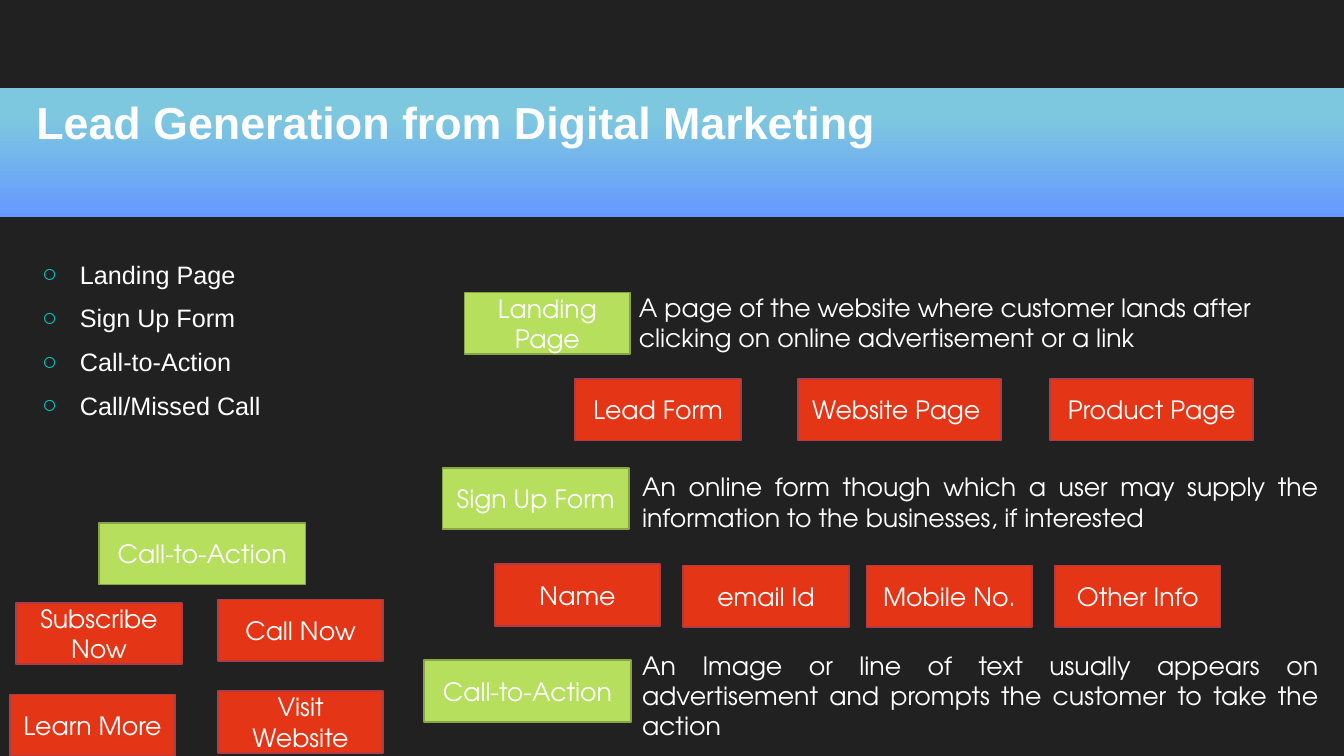
from lxml.etree import SubElement
from pptx import Presentation
from pptx.dml.color import RGBColor
from pptx.enum.shapes import MSO_SHAPE
from pptx.enum.text import MSO_ANCHOR, MSO_AUTO_SIZE, PP_ALIGN
from pptx.oxml import parse_xml
from pptx.oxml.ns import nsdecls, qn
from pptx.util import Cm, Pt

BACKGROUND = RGBColor(0x21, 0x21, 0x21)
BAND_TOP = RGBColor(0x7D, 0xC8, 0xDF)
BAND_BOTTOM = RGBColor(0x66, 0x99, 0xFF)
WHITE = RGBColor(0xFF, 0xFF, 0xFF)
TITLE_WHITE = RGBColor(0xFE, 0xFE, 0xFE)
TEAL = RGBColor(0x00, 0xC6, 0xBB)
GREEN = RGBColor(0xB6, 0xDF, 0x5E)
GREEN_EDGE = RGBColor(0x87, 0xA5, 0x46)
RED = RGBColor(0xE4, 0x36, 0x17)
RED_EDGE = RGBColor(0xAF, 0x3C, 0x44)

HEADING_FONT = "Arial"
LABEL_FONT = "TeX Gyre Adventor"
SLIDE_WIDTH, SLIDE_HEIGHT = 33.87, 19.05
LABEL_HEIGHT = 1.55
EXAMPLE_WIDTH = 4.17
PAGE_WIDTH = 5.11
DESCRIPTION_WIDTH = 17.55

TITLE = "Lead Generation from Digital Marketing"
TOPICS = ["Landing Page", "Sign Up Form", "Call-to-Action", "Call/Missed Call"]

TERMS = [
    ("Landing Page", 11.71, 7.37, EXAMPLE_WIDTH),
    ("Sign Up Form", 11.15, 11.79, 4.7),
    ("Call-to-Action", 10.69, 16.64, 5.21),
    ("Call-to-Action", 2.49, 13.18, 5.21),
]
EXAMPLES = [
    ("Lead Form", 14.5, 9.55, EXAMPLE_WIDTH),
    ("Website Page ", 20.12, 9.55, PAGE_WIDTH),
    ("Product Page", 26.47, 9.55, PAGE_WIDTH),
    ("Name", 12.47, 14.22, EXAMPLE_WIDTH),
    ("email Id", 17.22, 14.25, EXAMPLE_WIDTH),
    ("Mobile No.", 21.84, 14.25, EXAMPLE_WIDTH),
    ("Other Info", 26.59, 14.25, EXAMPLE_WIDTH),
    ("Subscribe Now", 0.41, 15.19, EXAMPLE_WIDTH),
    ("Call Now", 5.49, 15.11, EXAMPLE_WIDTH),
    ("Learn More", 0.25, 17.5, EXAMPLE_WIDTH),
    ("Visit Website", 5.49, 17.42, EXAMPLE_WIDTH),
]
DESCRIPTIONS = [
    ("A page of the website where customer lands after clicking on online "
     "advertisement or a link", 15.85, 7.24, 1.8, PP_ALIGN.LEFT),
    ("An online form though which a user may supply the information to the "
     "businesses, if interested", 15.93, 11.76, 1.8, PP_ALIGN.JUSTIFY),
    ("An Image or line of text usually appears on advertisement and prompts "
     "the customer to take the action", 15.93, 16.26, 2.57, PP_ALIGN.JUSTIFY),
]


def place(placeholder, left, top, width, height):
    placeholder.left, placeholder.top = Cm(left), Cm(top)
    placeholder.width, placeholder.height = Cm(width), Cm(height)


def format_text(frame, font_name, size, color, align, bold=False):
    frame.word_wrap = True
    for paragraph in frame.paragraphs:
        paragraph.alignment = align
        for run in paragraph.runs:
            run.font.name = font_name
            run.font.size = Pt(size)
            run.font.bold = bold
            run.font.color.rgb = color


def add_text_shadow(frame):
    for paragraph in frame.paragraphs:
        for run in paragraph.runs:
            run.font.fill._xPr.find(qn("a:solidFill")).addnext(parse_xml(
                f'<a:effectLst {nsdecls("a")}>'
                '<a:outerShdw blurRad="38100" dist="38100" dir="2700000">'
                '<a:srgbClr val="000000"><a:alpha val="60000"/></a:srgbClr>'
                '</a:outerShdw></a:effectLst>'))


def add_bullet(paragraph):
    properties = paragraph._p.get_or_add_pPr()
    properties.set("marL", str(Cm(0.95)))
    properties.set("indent", str(-Cm(0.95)))
    bullet_color = SubElement(properties, qn("a:buClr"))
    SubElement(bullet_color, qn("a:srgbClr")).set("val", str(TEAL))
    SubElement(properties, qn("a:buFont")).set("typeface", HEADING_FONT)
    SubElement(properties, qn("a:buChar")).set("char", "○")


def add_label(slide, text, left, top, width, fill, edge):
    label = slide.shapes.add_shape(
        MSO_SHAPE.RECTANGLE, Cm(left), Cm(top), Cm(width), Cm(LABEL_HEIGHT))
    label.shadow.inherit = False
    label.fill.solid()
    label.fill.fore_color.rgb = fill
    label.line.color.rgb = edge
    label.line.width = Pt(1.25)
    label.text_frame.text = text
    label.text_frame.vertical_anchor = MSO_ANCHOR.MIDDLE
    format_text(label.text_frame, LABEL_FONT, 18, WHITE, PP_ALIGN.CENTER)


def add_band(slide):
    band = slide.shapes.add_shape(
        MSO_SHAPE.RECTANGLE, 0, Cm(2.23), Cm(SLIDE_WIDTH), Cm(3.25))
    band.shadow.inherit = False
    band.line.fill.background()
    band.fill.gradient()
    band.fill.gradient_angle = 270
    for stop, position, color in zip(
            band.fill.gradient_stops, (0.21, 1), (BAND_TOP, BAND_BOTTOM)):
        stop.position = position
        stop.color.rgb = color
    slide.shapes.title.element.addprevious(band.element)


def main():
    deck = Presentation()
    deck.slide_width, deck.slide_height = Cm(SLIDE_WIDTH), Cm(SLIDE_HEIGHT)
    slide = deck.slides.add_slide(deck.slide_layouts[1])
    slide.background.fill.solid()
    slide.background.fill.fore_color.rgb = BACKGROUND
    add_band(slide)

    title = slide.shapes.title
    place(title, 0.66, 2.31, 23.65, 1.57)
    title.text_frame.text = TITLE
    title.text_frame.vertical_anchor = MSO_ANCHOR.BOTTOM
    title.text_frame.auto_size = MSO_AUTO_SIZE.NONE
    format_text(title.text_frame, HEADING_FONT, 32, TITLE_WHITE, PP_ALIGN.LEFT, bold=True)
    add_text_shadow(title.text_frame)

    topics = slide.placeholders[1]
    place(topics, 0.81, 5.36, 8.26, 6.4)
    topics.text_frame.text = "\n".join(TOPICS)
    topics.text_frame.vertical_anchor = MSO_ANCHOR.MIDDLE
    topics.text_frame.auto_size = MSO_AUTO_SIZE.NONE
    format_text(topics.text_frame, HEADING_FONT, 18, WHITE, PP_ALIGN.LEFT)
    add_text_shadow(topics.text_frame)
    for paragraph in topics.text_frame.paragraphs:
        paragraph.space_after = Pt(6)
        add_bullet(paragraph)

    for term in TERMS:
        add_label(slide, *term, GREEN, GREEN_EDGE)
    for example in EXAMPLES:
        add_label(slide, *example, RED, RED_EDGE)
    for text, left, top, height, align in DESCRIPTIONS:
        description = slide.shapes.add_textbox(
            Cm(left), Cm(top), Cm(DESCRIPTION_WIDTH), Cm(height))
        description.text_frame.text = text
        description.text_frame.auto_size = MSO_AUTO_SIZE.SHAPE_TO_FIT_TEXT
        format_text(description.text_frame, LABEL_FONT, 18, WHITE, align)

    deck.save("out.pptx")


if __name__ == "__main__":
    main()
